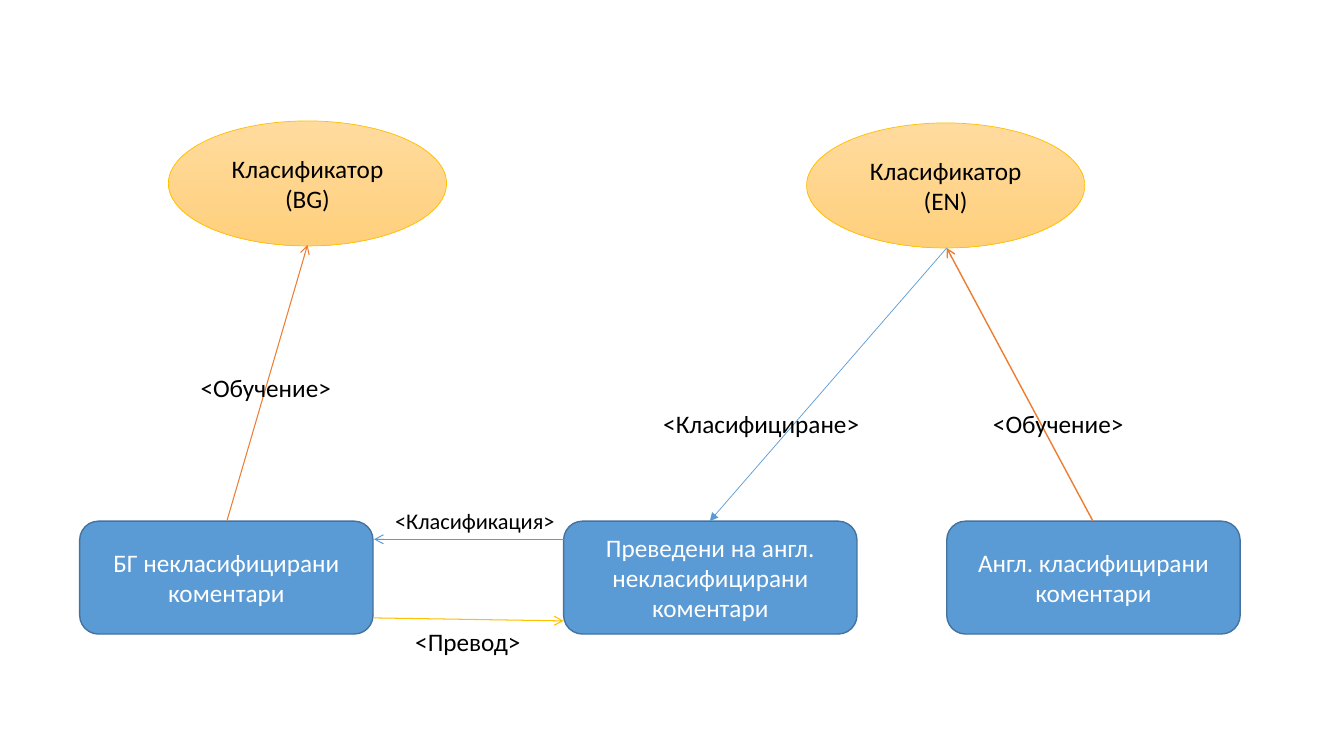
"""Build a slide showing how Bulgarian and English comment classifiers are trained and used."""
from dataclasses import dataclass

from lxml import etree
from pptx import Presentation
from pptx import util as u
from pptx.dml import color
from pptx.enum import shapes, text
from pptx.oxml import ns

FONT = "Calibri"
BLACK, WHITE = "000000", "FFFFFF"
BLUE, DARK_BLUE = "5B9BD5", "43739E"
ORANGE, GOLD = "ED7D31", "FFC000"
CLASSIFIER_TOP, CLASSIFIER_BOTTOM = "FFDB9E", "FFD07C"
COMMENTS_TOP, COMMENTS_WIDTH, COMMENTS_HEIGHT = 5.17, 2.91, 1.12
CLASSIFIER_WIDTH, CLASSIFIER_HEIGHT = 2.76, 1.24


@dataclass(frozen=True)
class Comments:
    wording: str
    left: float


@dataclass(frozen=True)
class Classifier:
    wording: str
    left: float
    top: float


@dataclass(frozen=True)
class Step:
    start: tuple[float, float]
    end: tuple[float, float]
    hue: str
    weight: float
    head: str = "arrow"


@dataclass(frozen=True)
class StepLabel:
    wording: str
    left: float
    top: float
    width: float
    height: float = 0.4
    size: int = 18


COMMENT_SETS = [
    Comments("БГ некласифицирани коментари", 0.79),
    Comments("Преведени на англ. некласифицирани коментари", 5.59),
    Comments("Англ. класифицирани коментари", 9.39),
]
CLASSIFIERS = [
    Classifier("Класификатор (BG)", 1.67, 1.2),
    Classifier("Класификатор (EN)", 8, 1.22),
]
STEPS = [
    Step((10.84, 5.17), (9.39, 2.46), ORANGE, 1),
    Step((3.71, 6.13), (5.59, 6.16), GOLD, 0.75),
    Step((9.39, 2.46), (7.04, 5.17), BLUE, 0.5, "triangle"),
    Step((5.59, 5.35), (3.71, 5.35), BLUE, 0.75),
    Step((2.25, 5.17), (3.05, 2.43), ORANGE, 0.75),
]
STEP_LABELS = [
    StepLabel("<Обучение>", 9.75, 4, 1.51),
    StepLabel("<Класифициране>", 6.48, 4, 2.17),
    StepLabel("<Превод>", 4.02, 6.16, 1.26),
    StepLabel("<Класификация>", 3.82, 4.98, 1.8, 0.37, 16),
    StepLabel("<Обучение>", 1.89, 3.64, 1.51),
]


def rgb(value: str) -> color.RGBColor:
    return color.RGBColor.from_string(value)


def write(frame, wording: str, hue: str, size: int = 18) -> None:
    frame.text = wording
    paragraph = frame.paragraphs[0]
    paragraph.font.name = FONT
    paragraph.font.size = u.Pt(size)
    paragraph.font.color.rgb = rgb(hue)


def add_node(slide, kind, box: tuple[float, ...], wording: str,
             hue: str, outline: str, weight: float):
    node = slide.shapes.add_shape(kind, *map(u.Inches, box))
    node.shadow.inherit = False
    node.line.color.rgb = rgb(outline)
    node.line.width = u.Pt(weight)
    frame = node.text_frame
    frame.word_wrap = True
    frame.vertical_anchor = text.MSO_ANCHOR.MIDDLE
    write(frame, wording, hue)
    frame.paragraphs[0].alignment = text.PP_ALIGN.CENTER
    return node


def add_comments(slide, comments: Comments) -> None:
    box = (comments.left, COMMENTS_TOP, COMMENTS_WIDTH, COMMENTS_HEIGHT)
    node = add_node(slide, shapes.MSO_SHAPE.ROUNDED_RECTANGLE, box,
                    comments.wording, WHITE, DARK_BLUE, 1)
    node.fill.solid()
    node.fill.fore_color.rgb = rgb(BLUE)


def add_classifier(slide, classifier: Classifier) -> None:
    box = (classifier.left, classifier.top, CLASSIFIER_WIDTH, CLASSIFIER_HEIGHT)
    node = add_node(slide, shapes.MSO_SHAPE.OVAL, box,
                    classifier.wording, BLACK, GOLD, 0.5)
    node.fill.gradient()
    node.fill.gradient_angle = 270
    for stop, hue in zip(node.fill.gradient_stops, (CLASSIFIER_TOP, CLASSIFIER_BOTTOM)):
        stop.color.rgb = rgb(hue)


def add_step(slide, step: Step) -> None:
    arrow = slide.shapes.add_connector(
        shapes.MSO_CONNECTOR.STRAIGHT, *map(u.Inches, step.start + step.end))
    arrow.line.color.rgb = rgb(step.hue)
    arrow.line.width = u.Pt(step.weight)
    properties = arrow._element.spPr
    outline = properties.find(ns.qn("a:ln"))
    etree.SubElement(outline, ns.qn("a:tailEnd"), type=step.head)
    etree.SubElement(properties, ns.qn("a:effectLst"))


def add_step_label(slide, label: StepLabel) -> None:
    box = (label.left, label.top, label.width, label.height)
    frame = slide.shapes.add_textbox(*map(u.Inches, box)).text_frame
    frame.word_wrap = False
    frame.auto_size = text.MSO_AUTO_SIZE.SHAPE_TO_FIT_TEXT
    write(frame, label.wording, BLACK, label.size)


def main() -> None:
    deck = Presentation()
    deck.slide_width, deck.slide_height = u.Inches(13.33), u.Inches(7.5)
    slide = deck.slides.add_slide(deck.slide_layouts[6])
    for comments in COMMENT_SETS:
        add_comments(slide, comments)
    for classifier in CLASSIFIERS:
        add_classifier(slide, classifier)
    for step in STEPS:
        add_step(slide, step)
    for label in STEP_LABELS:
        add_step_label(slide, label)
    deck.save("out.pptx")


if __name__ == "__main__":
    main()
